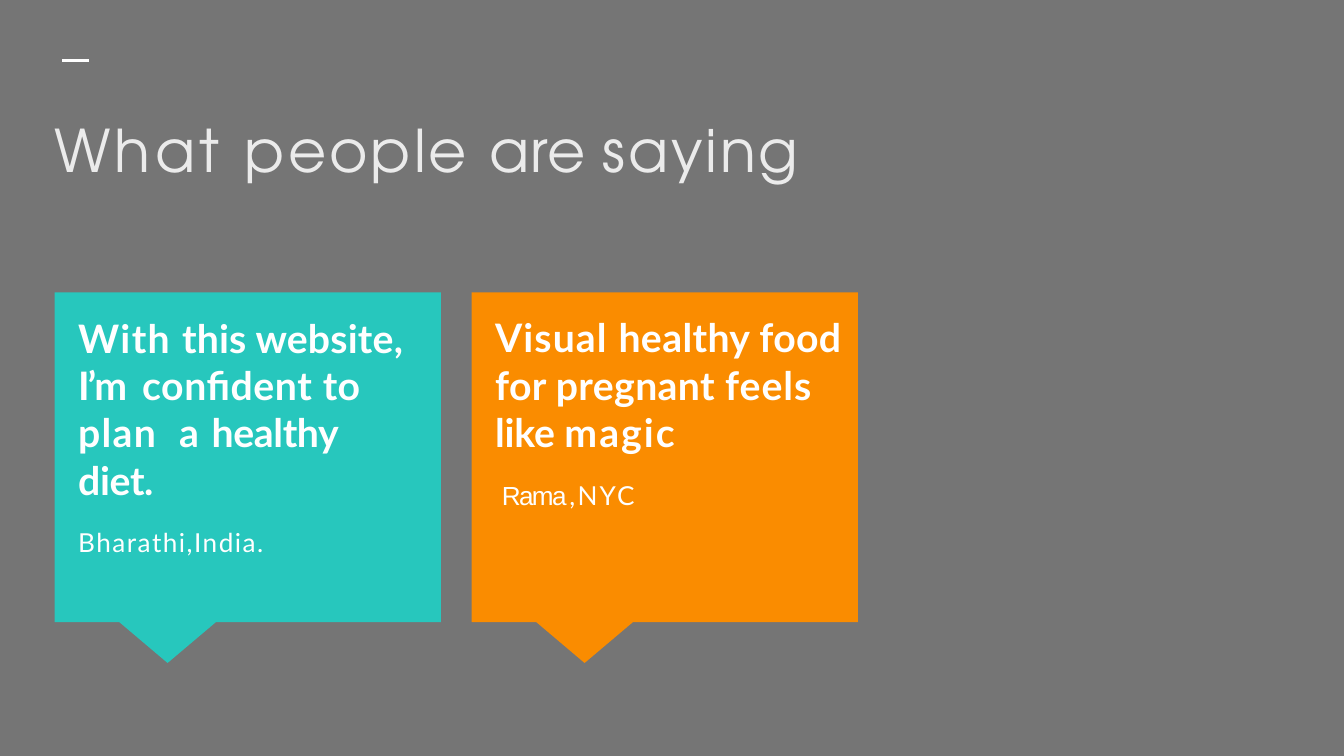
from dataclasses import dataclass

from lxml.etree import SubElement
from pptx import Presentation
from pptx.dml.color import RGBColor
from pptx.enum.shapes import MSO_CONNECTOR, MSO_SHAPE
from pptx.enum.text import MSO_AUTO_SIZE
from pptx.oxml.ns import qn
from pptx.slide import Slide
from pptx.util import Pt

COLORS = {
    "background": "757575",
    "title": "EBEBEB",
    "white": "FFFFFF",
    "teal": "27C7BD",
    "orange": "FA8C00",
}
SLIDE_WIDTH, SLIDE_HEIGHT = 720, 405
BUBBLE_LEFT, BUBBLE_TOP, BUBBLE_STEP = 29.2, 156.6, 223.4
BUBBLE_WIDTH, BUBBLE_HEIGHT = 207, 176.8
TAIL_LEFT, TAIL_RIGHT, TAIL_HEIGHT = 34.8, 86.4, 21.8
TEXT_OFFSET_X, TEXT_OFFSET_Y = 11.8, 10.4


@dataclass
class TextRun:
    text: str
    spacing: float
    font: str = "Lato"


@dataclass
class TextParagraph:
    runs: list[TextRun]
    size: float
    space_before: float
    bold: bool = False
    line_spacing: float = 1.0
    color: str = "white"


@dataclass
class Testimonial:
    color: str
    text_width: float
    text_height: float
    quote: list[TextRun]
    author: list[TextRun]


TITLE_FONT = "TeX Gyre Adventor"
TITLE = TextParagraph(
    [
        TextRun("What ", 2.4, TITLE_FONT),
        TextRun("people ", 1.7, TITLE_FONT),
        TextRun("are ", 0.3, TITLE_FONT),
        TextRun("saying", 1.6, TITLE_FONT),
    ],
    size=31.5,
    space_before=1,
    color="title",
)

TESTIMONIALS = [
    Testimonial(
        "teal", 180.7, 134,
        quote=[
            TextRun("With ", 0.7),
            TextRun("this website", 0.1),
            TextRun(", ", 0),
            TextRun("I’m  ", -1.1),
            TextRun("conﬁdent ", 0.3),
            TextRun("to ", 0.2),
            TextRun("plan  ", 0.7),
            TextRun("a ", 0.8),
            TextRun("healthy diet.", -0.2),
        ],
        author=[TextRun("Bharathi,India.", 0.8)],
    ),
    Testimonial(
        "orange", 188, 108,
        quote=[
            TextRun("Visual ", 0.6),
            TextRun("healthy food for pregnant ", 0.2),
            TextRun("feels ", 0.5),
            TextRun("like ", -0.1),
            TextRun("magic", 1.1),
        ],
        author=[
            TextRun(" ", -2.4),
            TextRun("R a m a ", -2.4, "Arial"),
            TextRun(", ", -2.4),
            TextRun("NYC", 1.1),
        ],
    ),
]


def rgb(name: str) -> RGBColor:
    return RGBColor.from_string(COLORS[name])


def add_background(slide: Slide) -> None:
    shape = slide.shapes.add_shape(
        MSO_SHAPE.RECTANGLE, 0, 0, Pt(SLIDE_WIDTH), Pt(SLIDE_HEIGHT)
    )
    shape.shadow.inherit = False
    shape.fill.solid()
    shape.fill.fore_color.rgb = rgb("background")
    shape.line.fill.background()


def add_dash(slide: Slide) -> None:
    connector = slide.shapes.add_connector(
        MSO_CONNECTOR.STRAIGHT, Pt(33.4), Pt(32.6), Pt(47.8), Pt(32.6)
    )
    connector.line.color.rgb = rgb("white")
    connector.line.width = Pt(1.5)
    SubElement(connector._element.spPr, qn("a:effectLst"))


def add_text(
    slide: Slide, left: float, top: float, width: float, height: float,
    paragraphs: list[TextParagraph],
) -> None:
    text_box = slide.shapes.add_textbox(Pt(left), Pt(top), Pt(width), Pt(height))
    frame = text_box.text_frame
    frame.word_wrap = True
    frame.auto_size = MSO_AUTO_SIZE.SHAPE_TO_FIT_TEXT
    frame.margin_left = frame.margin_top = Pt(0.9)
    frame.margin_right = frame.margin_bottom = 0
    for index, content in enumerate(paragraphs):
        paragraph = frame.add_paragraph() if index else frame.paragraphs[0]
        paragraph.space_before = Pt(content.space_before)
        paragraph.line_spacing = content.line_spacing
        for text_run in content.runs:
            run = paragraph.add_run()
            run.text = text_run.text
            run.font.name = text_run.font
            run.font.size = Pt(content.size)
            run.font.bold = content.bold
            run.font.color.rgb = rgb(content.color)
            run._r.get_or_add_rPr().set("spc", str(round(text_run.spacing * 100)))


def add_bubble(slide: Slide, left: float, color: str) -> None:
    right, bottom = left + BUBBLE_WIDTH, BUBBLE_TOP + BUBBLE_HEIGHT
    tail_left, tail_right = left + TAIL_LEFT, left + TAIL_RIGHT
    tip = ((tail_left + tail_right) / 2, bottom + TAIL_HEIGHT)
    body = [(right, bottom), (left, bottom), (left, BUBBLE_TOP), (right, BUBBLE_TOP)]
    tail = [tip, (tail_left, bottom), (tail_right, bottom)]

    builder = slide.shapes.build_freeform(Pt(right), Pt(bottom))
    for outline in (body, tail):
        start, *rest = [(Pt(x), Pt(y)) for x, y in outline]
        if outline is tail:
            builder.move_to(*start)
        builder.add_line_segments(rest, close=True)
    shape = builder.convert_to_shape()
    shape.shadow.inherit = False
    shape.fill.solid()
    shape.fill.fore_color.rgb = rgb(color)
    shape.line.fill.background()


def add_testimonial(slide: Slide, left: float, testimonial: Testimonial) -> None:
    add_bubble(slide, left, testimonial.color)
    add_text(
        slide, left + TEXT_OFFSET_X, BUBBLE_TOP + TEXT_OFFSET_Y,
        testimonial.text_width, testimonial.text_height,
        [
            TextParagraph(testimonial.quote, 21, 0.7, bold=True, line_spacing=1.01),
            TextParagraph(testimonial.author, 14, 12.6),
        ],
    )


def main() -> None:
    presentation = Presentation()
    presentation.slide_width = Pt(SLIDE_WIDTH)
    presentation.slide_height = Pt(SLIDE_HEIGHT)
    slide = presentation.slides.add_slide(presentation.slide_layouts[6])
    add_background(slide)
    add_dash(slide)
    add_text(slide, 28.1, 59.8, 547, 60, [TITLE])
    for index, testimonial in enumerate(TESTIMONIALS):
        add_testimonial(slide, BUBBLE_LEFT + index * BUBBLE_STEP, testimonial)
    presentation.save("out.pptx")


if __name__ == "__main__":
    main()
